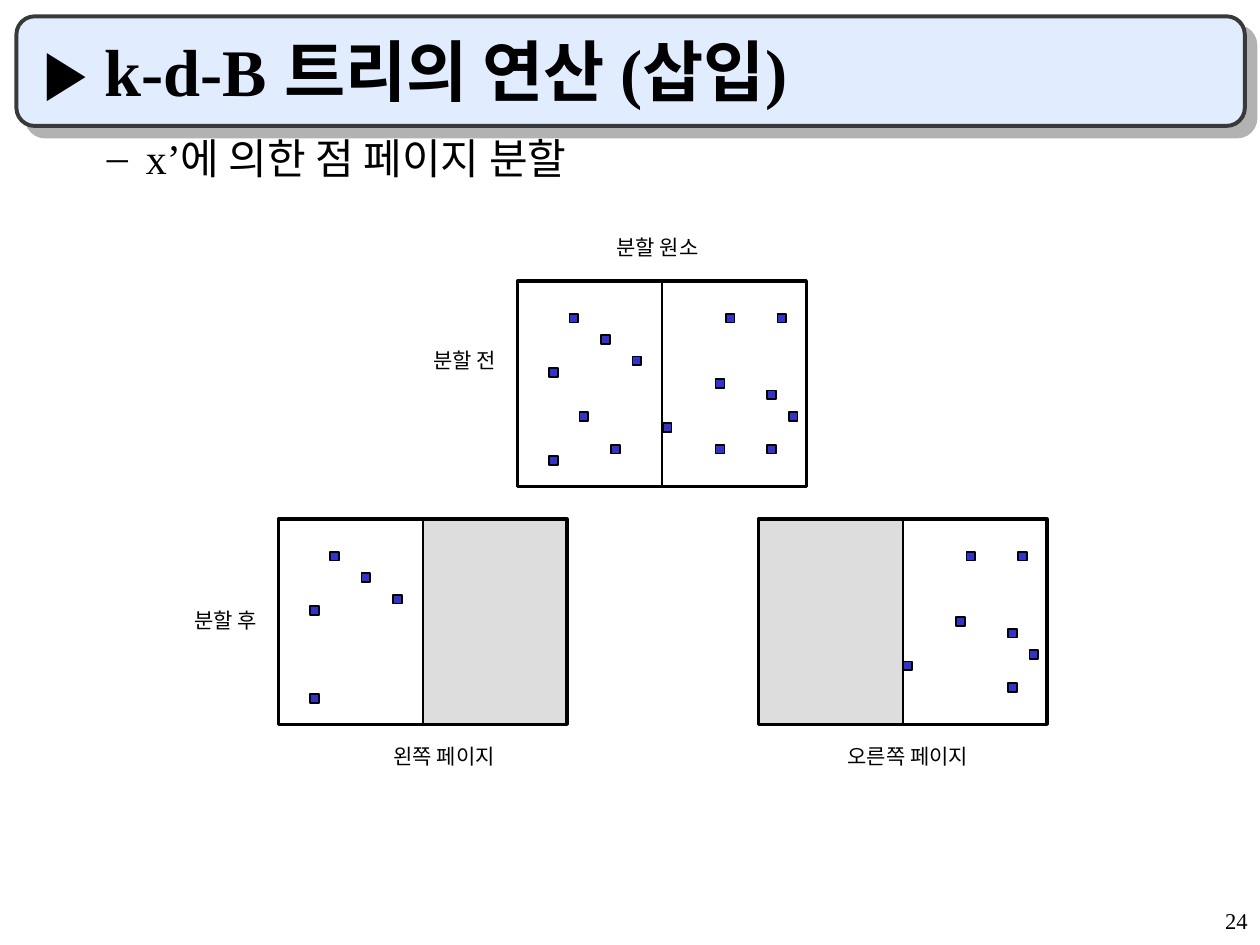
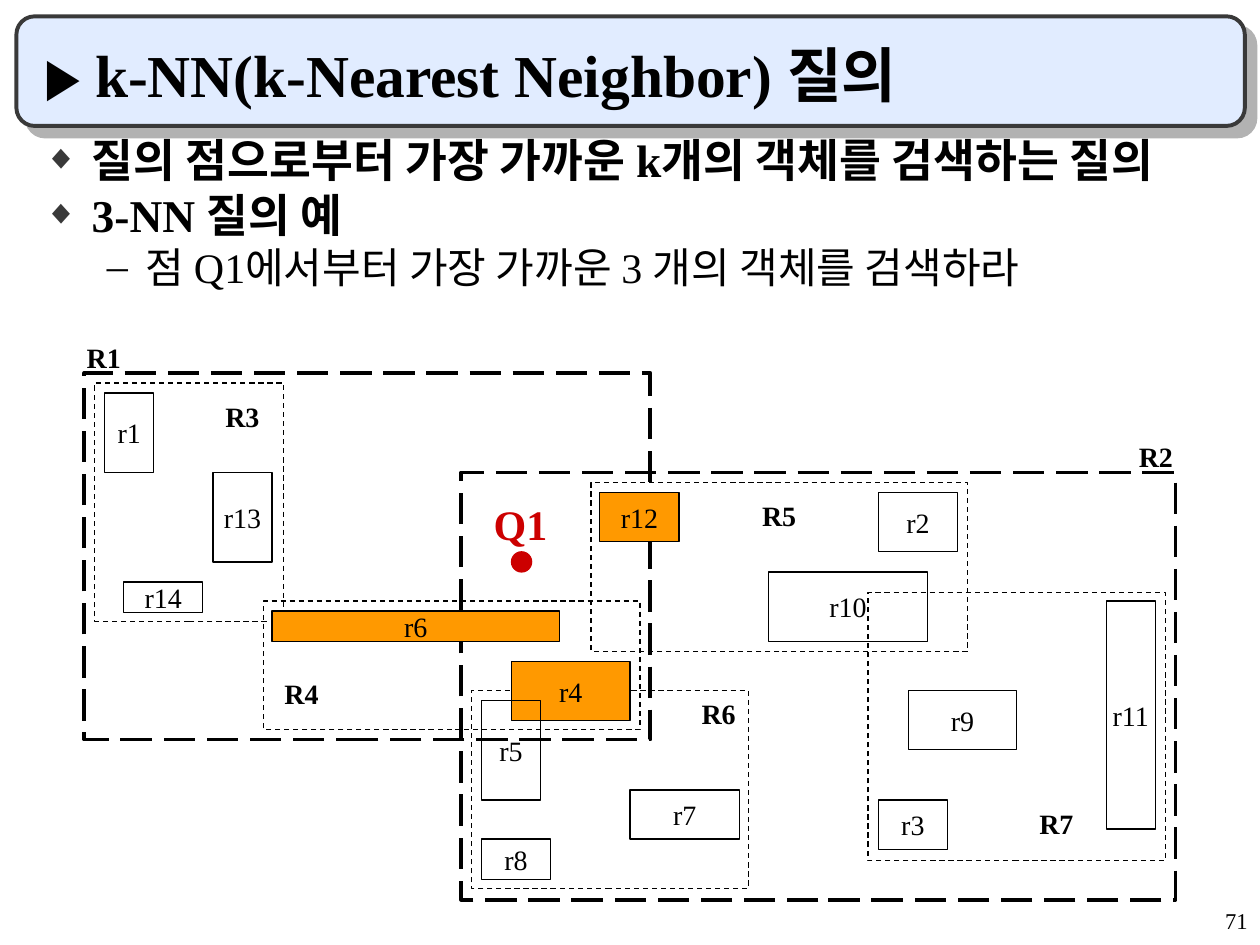
from lxml import etree
from pptx import Presentation
from pptx import util as u
from pptx.dml.color import RGBColor
from pptx.enum import dml, shapes, text
from pptx.oxml.ns import qn

BLACK, BAND, BORDER, BAND_SHADOW = "000000", "E1ECFF", "393939", "B2B2B2"
SHADE, POINT, HIT, QUERY = "DDDDDD", "3333CC", "FF9900", "CC0000"
LATIN, KOREAN = "Times New Roman", "Noto Sans CJK KR"
INSETS = (0.1, 0.05)
RECT = shapes.MSO_SHAPE.RECTANGLE
ALIGN, ANCHOR = text.PP_ALIGN, text.MSO_ANCHOR


def color(hex_string):
    return RGBColor.from_string(hex_string)


def add_element(parent, tag, **attributes):
    return etree.SubElement(parent, qn(tag), attributes)


def style_font(paragraph, size, hue=BLACK, bold=False, face=LATIN):
    font = paragraph.font
    font.size, font.bold, font.name = u.Pt(size), bold, face
    font.color.rgb = color(hue)
    add_element(paragraph._p.pPr.find(qn("a:defRPr")), "a:ea", typeface=KOREAN)


def add_box(slide, box, kind=RECT, fill=None, line=BLACK, width=0.75, dash=None):
    shape = slide.shapes.add_shape(kind, *map(u.Inches, box))
    shape.shadow.inherit = False
    if fill:
        shape.fill.solid()
        shape.fill.fore_color.rgb = color(fill)
    else:
        shape.fill.background()
    if line:
        shape.line.color.rgb = color(line)
        shape.line.width = u.Pt(width)
        if dash:
            shape.line.dash_style = dash
    else:
        shape.line.fill.background()
    return shape


def set_frame(frame, insets=INSETS, anchor=ANCHOR.TOP, wrap=True):
    frame.margin_left = frame.margin_right = u.Inches(insets[0])
    frame.margin_top = frame.margin_bottom = u.Inches(insets[1])
    frame.vertical_anchor, frame.word_wrap = anchor, wrap
    return frame.paragraphs[0]


def add_label(slide, box, words, size, align=ALIGN.LEFT, insets=INSETS,
              anchor=ANCHOR.TOP, **font):
    label = slide.shapes.add_textbox(*map(u.Inches, box))
    paragraph = set_frame(label.text_frame, insets, anchor)
    paragraph.text, paragraph.alignment = words, align
    style_font(paragraph, size, **font)
    return paragraph


# Shared slide parts

def add_title_band(slide):
    band = add_box(slide, (0.13, 0.13, 9.75, 0.87),
                   shapes.MSO_SHAPE.ROUNDED_RECTANGLE, BAND, BORDER, 2.25)
    effects = band._element.spPr.find(qn("a:effectLst"))
    shadow = add_element(effects, "a:outerShdw", blurRad="0", dist=str(u.Pt(8.5)),
                         dir="2700000", algn="ctr", rotWithShape="0")
    add_element(shadow, "a:srgbClr", val=BAND_SHADOW)


def start_slide(deck, title, number, size, marker_size):
    slide = deck.slides.add_slide(deck.slide_layouts[6])
    add_title_band(slide)
    footer = add_label(slide, (7.92, 7.17, 2.08, 0.33), number, 12.9, ALIGN.RIGHT)
    footer.line_spacing = 0.9
    heading = add_label(slide, (0.25, 0.25, 9.42, 0.67), "", size,
                        anchor=ANCHOR.BOTTOM, bold=True)
    marker = heading.add_run()
    marker.text = "▶ "
    if marker_size != size:
        marker.font.size = u.Pt(marker_size)
    heading.add_run().text = title
    return slide


# Outline levels: left margin, hanging indent, bullet, bullet colour,
# bullet size, space before, text size, bold
LEVELS = [
    (0.38, -0.38, "◆", BORDER, 75, 6.5, 26, True),
    (0.81, -0.31, "–", BLACK, 100, 6, 24, False),
]


def add_outline(slide, box, items):
    frame = slide.shapes.add_textbox(*map(u.Inches, box)).text_frame
    set_frame(frame)
    for index, (level, words) in enumerate(items):
        margin, indent, bullet, hue, percent, before, size, bold = LEVELS[level]
        paragraph = frame.add_paragraph() if index else frame.paragraphs[0]
        paragraph.text, paragraph.level = words, level
        paragraph.line_spacing = 0.8
        if index:
            paragraph.space_before = u.Pt(before)
        props = paragraph._p.get_or_add_pPr()
        props.set("marL", str(u.Inches(margin)))
        props.set("indent", str(u.Inches(indent)))
        add_element(add_element(props, "a:buClr"), "a:srgbClr", val=hue)
        add_element(props, "a:buSzPct", val=str(percent * 1000))
        add_element(props, "a:buFont", typeface=LATIN)
        add_element(props, "a:buChar", char=bullet)
        style_font(paragraph, size, bold=bold)


# Point page split

PAGE_W, PAGE_H, POINT_SIZE = 2.29, 1.63, 0.07
LEFT_POINTS = [(0.41, 0.26), (0.66, 0.43), (0.91, 0.6), (0.25, 0.69), (0.25, 1.39)]
LEFT_BEFORE_ONLY = [(0.49, 1.04), (0.74, 1.3)]
RIGHT_POINTS = [(1.15, 1.13), (1.65, 0.26), (2.06, 0.26), (1.57, 0.78),
                (1.98, 0.87), (2.15, 1.04), (1.98, 1.3)]
RIGHT_BEFORE_ONLY = [(1.57, 1.3)]


def add_page(slide, left, top, points, shaded_half=None):
    if shaded_half is not None:
        half = PAGE_W / 2
        add_box(slide, (left + shaded_half * half, top, half, PAGE_H),
                fill=SHADE, line=None)
    page = add_box(slide, (left, top, PAGE_W, PAGE_H), width=1.87)
    divider = slide.shapes.add_connector(shapes.MSO_CONNECTOR.STRAIGHT, 0, 0, 0, 0)
    divider.begin_connect(page, 0)
    divider.end_connect(page, 2)
    divider.line.color.rgb = color(BLACK)
    divider.line.width = u.Pt(1)
    add_element(divider._element.spPr, "a:effectLst")
    for x, y in points:
        add_box(slide, (left + x, top + y, POINT_SIZE, POINT_SIZE),
                fill=POINT, width=1)


def build_split_slide(deck):
    slide = start_slide(deck, "k-d-B 트리의 연산 (삽입)", "24", 38, 38)
    add_outline(slide, (0.25, 1.08, 9.42, 6.05), [(1, "x’에 의한 점 페이지 분할")])
    add_page(slide, 4.11, 2.23,
             LEFT_POINTS + LEFT_BEFORE_ONLY + RIGHT_POINTS + RIGHT_BEFORE_ONLY)
    add_page(slide, 2.21, 4.12, LEFT_POINTS, shaded_half=1)
    add_page(slide, 6.02, 4.12, RIGHT_POINTS, shaded_half=0)
    for left, top, width, words in [
        (3.36, 2.76, 0.66, "분할 전"),
        (4.68, 1.86, 1.08, "분할 원소"),
        (1.46, 4.82, 0.66, "분할 후"),
        (3.03, 5.9, 0.99, "왼쪽 페이지"),
        (6.5, 5.9, 1.41, "오른쪽 페이지"),
    ]:
        add_label(slide, (left, top, width, 0.2), words, 12, ALIGN.CENTER,
                  insets=(0, 0), face=KOREAN)


# Nearest neighbour query

# Region name: bounding box, then left and top of its label
ROOT_REGIONS = {
    "R1": ((0.67, 2.96, 4.49, 2.91), (0.59, 2.65)),
    "R2": ((3.66, 3.75, 5.67, 3.39), (8.94, 3.44)),
}
LEAF_REGIONS = {
    "R3": ((0.75, 3.04, 1.5, 1.89), (1.69, 3.12)),
    "R4": ((2.09, 4.77, 2.99, 1.02), (2.16, 5.32)),
    "R5": ((4.69, 3.83, 2.99, 1.34), (5.95, 3.91)),
    "R6": ((3.74, 5.48, 2.2, 1.57), (5.47, 5.48)),
    "R7": ((6.89, 4.7, 2.36, 2.13), (8.15, 6.35)),
}
OBJECTS = {
    "r1": (0.83, 3.12, 0.39, 0.63),
    "r13": (1.69, 3.75, 0.47, 0.71),
    "r14": (0.98, 4.62, 0.63, 0.24),
    "r6": (2.16, 4.85, 2.28, 0.24),
    "r4": (4.06, 5.25, 0.94, 0.47),
    "r5": (3.82, 5.56, 0.47, 0.79),
    "r8": (3.82, 6.66, 0.55, 0.32),
    "r7": (5, 6.27, 0.87, 0.39),
    "r12": (4.76, 3.91, 0.63, 0.39),
    "r10": (6.1, 4.54, 1.26, 0.55),
    "r11": (8.78, 4.77, 0.39, 1.81),
    "r3": (6.97, 6.35, 0.55, 0.39),
    "r9": (7.21, 5.48, 0.86, 0.47),
    "r2": (6.97, 3.91, 0.63, 0.47),
}
NEAREST = {"r4", "r6", "r12"}


def add_regions(slide):
    for regions, width, dash in [
        (ROOT_REGIONS, 2.25, dml.MSO_LINE.LONG_DASH),
        (LEAF_REGIONS, 0.75, dml.MSO_LINE.DASH),
    ]:
        for box, _ in regions.values():
            add_box(slide, box, width=width, dash=dash)


def add_objects(slide):
    for name, box in OBJECTS.items():
        item = add_box(slide, box, fill=HIT if name in NEAREST else None)
        paragraph = set_frame(item.text_frame, anchor=ANCHOR.MIDDLE, wrap=False)
        paragraph.text, paragraph.alignment = name, ALIGN.CENTER
        style_font(paragraph, 16)


def add_query_point(slide, left, top):
    add_box(slide, (left + 0.24, top + 0.47, 0.16, 0.16),
            shapes.MSO_SHAPE.OVAL, QUERY, QUERY)
    add_label(slide, (left, top, 1.42, 0.5), "Q1", 24, hue=QUERY, bold=True)


def build_query_slide(deck):
    slide = start_slide(deck, "k-NN(k-Nearest Neighbor) 질의", "71", 34, 32)
    add_outline(slide, (0.25, 1.08, 9.63, 5.83), [
        (0, "질의 점으로부터 가장 가까운 k개의 객체를 검색하는 질의"),
        (0, "3-NN 질의 예"),
        (1, "점 Q1에서부터 가장 가까운 3 개의 객체를 검색하라"),
    ])
    add_regions(slide)
    add_objects(slide)
    for name, (_, corner) in {**ROOT_REGIONS, **LEAF_REGIONS}.items():
        add_label(slide, (*corner, 0.47, 0.37), name, 16, bold=True)
    add_query_point(slide, 3.82, 3.91)


def main():
    deck = Presentation()
    deck.slide_width, deck.slide_height = u.Inches(10), u.Inches(7.5)
    build_split_slide(deck)
    build_query_slide(deck)
    deck.save("out.pptx")


if __name__ == "__main__":
    main()
